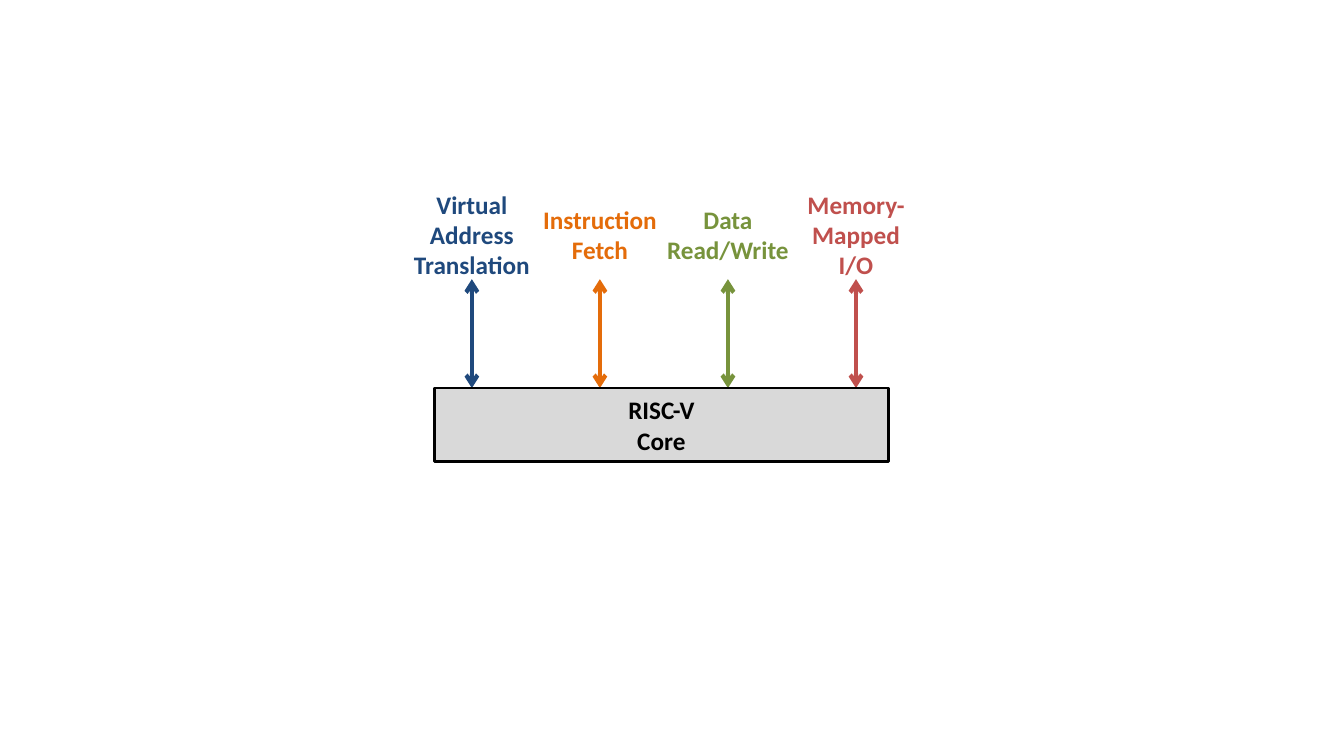
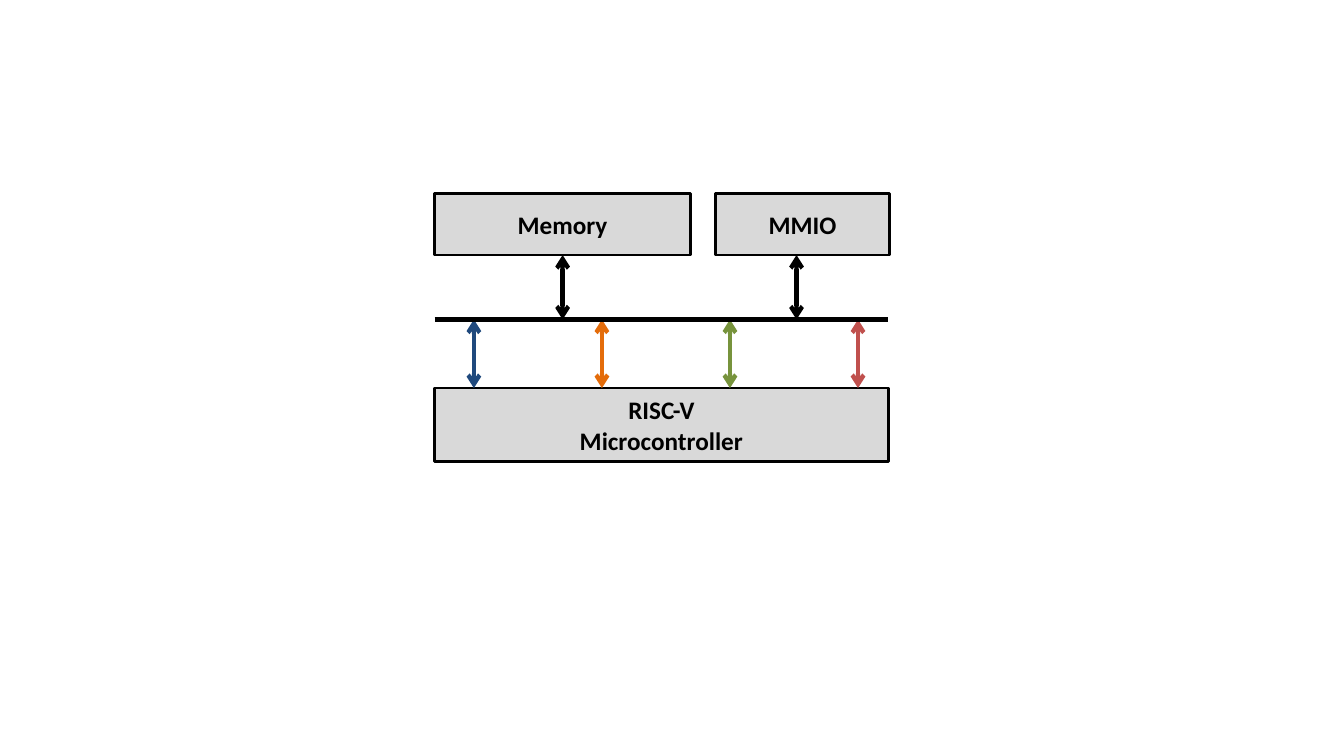
from dataclasses import dataclass

from pptx import Presentation
from pptx.dml.color import RGBColor
from pptx.enum.shapes import MSO_CONNECTOR, MSO_SHAPE
from pptx.enum.text import MSO_ANCHOR, PP_ALIGN
from pptx.oxml.ns import qn
from pptx.util import Inches, Pt
from lxml.etree import SubElement


@dataclass(frozen=True)
class Theme:
    font: str = "Calibri"
    size: int = 18
    ink: str = "000000"
    box_fill: str = "D9D9D9"
    translation: str = "1F497D"
    fetch: str = "E46C0A"
    data: str = "77933C"
    mmio: str = "C0504D"
    box_line: int = 2
    arrow_line: int = 3

    @property
    def ports(self):
        return self.translation, self.fetch, self.data, self.mmio


PORT_PITCH = 1.27
CORE_LEFT, CORE_TOP, CORE_WIDTH, CORE_HEIGHT = 4.31, 3.85, 4.5, 0.73


class Diagram:
    def __init__(self, prs, theme):
        self.prs, self.theme, self.s = prs, theme, None

    def new_slide(self):
        self.s = self.prs.slides.add_slide(self.prs.slide_layouts[6])

    def set_text(self, shape, lines, color):
        tf = shape.text_frame
        tf.word_wrap = True
        tf.vertical_anchor = MSO_ANCHOR.MIDDLE
        style = {"name": self.theme.font, "size": Pt(self.theme.size), "bold": True}
        for i, text in enumerate(lines):
            p = tf.add_paragraph() if i else tf.paragraphs[0]
            p.alignment = PP_ALIGN.CENTER
            r = p.add_run()
            r.text = text
            for key, value in style.items():
                setattr(r.font, key, value)
            r.font.color.rgb = RGBColor.from_string(color)

    def box(self, x, y, w, h, *lines):
        sp = self.s.shapes.add_shape(
            MSO_SHAPE.RECTANGLE, Inches(x), Inches(y), Inches(w), Inches(h))
        sp.shadow.inherit = False
        sp.fill.solid()
        sp.fill.fore_color.rgb = RGBColor.from_string(self.theme.box_fill)
        sp.line.color.rgb = RGBColor.from_string(self.theme.ink)
        sp.line.width = Pt(self.theme.box_line)
        self.set_text(sp, lines, self.theme.ink)
        return sp

    def label(self, center, y, w, h, text, color):
        sp = self.s.shapes.add_textbox(
            Inches(center - w / 2), Inches(y), Inches(w), Inches(h))
        self.set_text(sp, [text], color)

    def line(self, x1, y1, x2, y2, color):
        cn = self.s.shapes.add_connector(
            MSO_CONNECTOR.STRAIGHT, Inches(x1), Inches(y1), Inches(x2), Inches(y2))
        cn.line.color.rgb = RGBColor.from_string(color)
        cn.line.width = Pt(self.theme.arrow_line)
        SubElement(cn._element.spPr, qn("a:effectLst"))
        return cn

    def arrow(self, x, y1, y2, color):
        """Draw a vertical arrow with a head at both ends."""
        cn = self.line(x, y1, x, y2, color)
        ln = cn._element.spPr.find(qn("a:ln"))
        for end in ("a:headEnd", "a:tailEnd"):
            SubElement(ln, qn(end), type="arrow")
        return cn

    def port_arrows(self, first_x, top, bottom):
        """Draw one arrow per core port and return their x positions."""
        centers = [first_x + i * PORT_PITCH for i in range(len(self.theme.ports))]
        for x, color in zip(centers, self.theme.ports):
            self.arrow(x, bottom, top, color)
        return centers

    def core(self, *lines):
        self.box(CORE_LEFT, CORE_TOP, CORE_WIDTH, CORE_HEIGHT, *lines)


def core_ports(d):
    d.new_slide()
    centers = d.port_arrows(4.68, 2.77, CORE_TOP)
    labels = (("Virtual Address Translation", 1.39), ("Instruction Fetch", 1.39),
              ("Data Read/Write", 1.48), ("Memory-Mapped I/O", 1.39))
    for x, (text, width), color in zip(centers, labels, d.theme.ports):
        d.label(x, 1.82, width, 1.01, text, color)
    d.core("RISC-V", "Core")


def microcontroller(d):
    bus_y, device_y, device_h = 3.17, 1.92, 0.61
    ink = d.theme.ink
    d.new_slide()
    d.core("RISC-V", "Microcontroller")
    memory = d.box(CORE_LEFT, device_y, 2.54, device_h, "Memory")
    d.box(7.1, device_y, 1.72, device_h, "MMIO")
    d.arrow(5.58, device_y + device_h, bus_y, ink).begin_connect(memory, 2)
    d.arrow(7.9, device_y + device_h, bus_y, ink)
    d.port_arrows(4.7, bus_y, CORE_TOP)
    d.line(CORE_LEFT, bus_y, CORE_LEFT + CORE_WIDTH, bus_y, ink)


def main():
    prs = Presentation()
    prs.slide_width, prs.slide_height = Inches(13.33), Inches(7.5)
    d = Diagram(prs, Theme())
    core_ports(d)
    microcontroller(d)
    prs.save("out.pptx")


if __name__ == "__main__":
    main()
